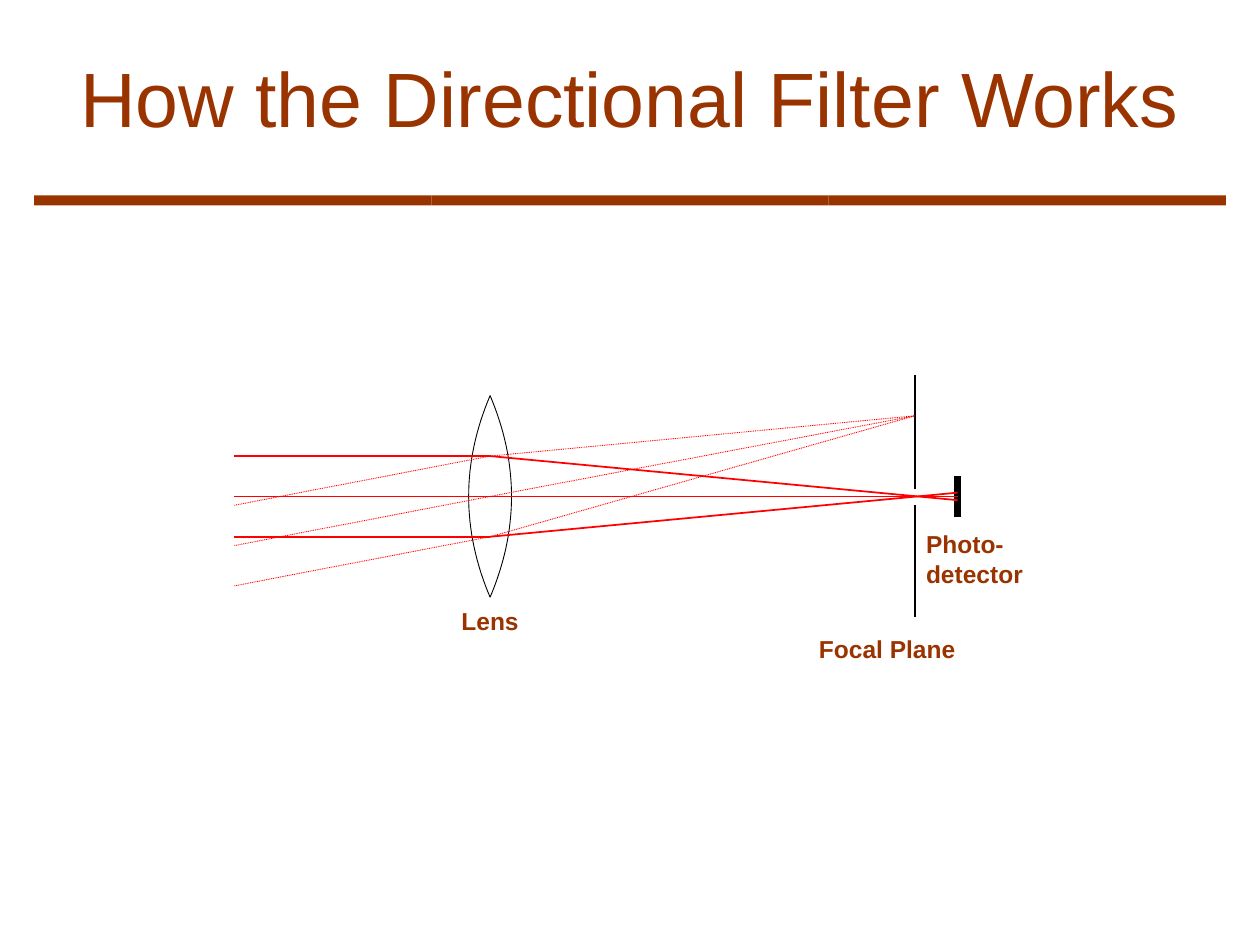
from dataclasses import dataclass

from lxml.etree import SubElement
from pptx import Presentation
from pptx.dml.color import RGBColor
from pptx.enum.dml import MSO_LINE
from pptx.enum.shapes import MSO_CONNECTOR, MSO_SHAPE
from pptx.enum.text import MSO_ANCHOR, PP_ALIGN
from pptx.oxml.ns import qn
from pptx.slide import Slide
from pptx.util import Inches, Pt

COLORS = {"brown": "993300", "ray": "FF0000", "ink": "000000"}
START, LENS, FOCUS, SENSOR = 1.86, 3.89, 7.26, 7.6
AXIS, GAP = 3.94, 0.32
TILT = 0.39


@dataclass
class Line:
    x1: float
    y1: float
    x2: float
    y2: float
    color: str = "ray"
    width: float = 1
    dotted: bool = False


@dataclass
class Label:
    text: str
    left: float
    top: float
    width: float
    height: float
    align: PP_ALIGN = PP_ALIGN.LEFT


LABELS = [
    Label("Lens", 3.51, 4.8, 0.76, 0.27, PP_ALIGN.CENTER),
    Label("Focal Plane", 6.49, 5.02, 1.6, 0.33),
    Label("Photo-\ndetector", 7.34, 4.19, 1.26, 0.57),
]


def rgb(name: str) -> RGBColor:
    return RGBColor.from_string(COLORS[name])


def style(frame, size: int, bold: bool, align: PP_ALIGN) -> None:
    for para in frame.paragraphs:
        para.alignment = align
        for run in para.runs:
            run.font.name = "Arial"
            run.font.size = Pt(size)
            run.font.bold = bold
            run.font.color.rgb = rgb("brown")


def add_title(slide: Slide, text: str) -> None:
    title = slide.shapes.title
    title.left, title.top = Inches(0.5), Inches(0.3)
    title.width, title.height = Inches(9), Inches(0.93)
    frame = title.text_frame
    frame.text = text
    frame.vertical_anchor = MSO_ANCHOR.MIDDLE
    style(frame, 44, False, PP_ALIGN.CENTER)


def add_rule(slide: Slide, parts: int = 3) -> None:
    left, width = 0.27, 9.46 / parts
    for i in range(parts):
        bar = slide.shapes.add_shape(
            MSO_SHAPE.RECTANGLE, Inches(left + i * width), Inches(1.55),
            Inches(width), Inches(0.08))
        bar.shadow.inherit = False
        bar.fill.solid()
        bar.fill.fore_color.rgb = rgb("brown")
        bar.line.fill.background()


def add_line(slide: Slide, line: Line) -> None:
    link = slide.shapes.add_connector(
        MSO_CONNECTOR.STRAIGHT, Inches(line.x1), Inches(line.y1),
        Inches(line.x2), Inches(line.y2))
    link.line.color.rgb = rgb(line.color)
    link.line.width = Pt(line.width)
    if line.dotted:
        link.line.dash_style = MSO_LINE.ROUND_DOT
    SubElement(link._element.spPr, qn("a:effectLst"))


def add_lens(slide: Slide, bulge: float = 0.17, half: float = 0.8, steps: int = 32) -> None:
    for side in (-1, 1):
        pts = []
        for i in range(steps + 1):
            t = 2 * i / steps - 1
            x = LENS + side * bulge * (1 - t * t)
            pts.append((Inches(x), Inches(AXIS + half * t)))
        pen = slide.shapes.build_freeform(*pts[0])
        pen.add_line_segments(pts[1:], close=False)
        arc = pen.convert_to_shape()
        arc.shadow.inherit = False
        arc.fill.background()
        arc.line.color.rgb = rgb("ink")
        arc.line.width = Pt(0.5)


def add_label(slide: Slide, label: Label) -> None:
    box = slide.shapes.add_textbox(
        Inches(label.left), Inches(label.top), Inches(label.width), Inches(label.height))
    frame = box.text_frame
    frame.word_wrap = True
    frame.margin_left = frame.margin_right = Inches(0.01)
    frame.margin_top = frame.margin_bottom = Inches(0.01)
    frame.text = label.text
    style(frame, 14, True, label.align)


def optics() -> list[Line]:
    lines = [
        Line(SENSOR, 3.78, SENSOR, 4.1, "ink", 3.91),
        Line(FOCUS, 2.98, FOCUS, 3.88, "ink"),
        Line(FOCUS, 4.01, FOCUS, 4.9, "ink"),
        Line(START, AXIS, SENSOR, AXIS),
    ]
    for side in (-1, 1):
        y = AXIS + side * GAP
        lines.append(Line(START, y, LENS, y))
        lines.append(Line(LENS, y, SENSOR, AXIS - side * 0.03))
    for step in (1, 0, -1):
        y = AXIS + step * GAP
        lines.append(Line(START, y + TILT, LENS, y, width=0.5, dotted=True))
        lines.append(Line(LENS, y, FOCUS, AXIS - 2 * GAP, width=0.5, dotted=True))
    return lines


def main() -> None:
    """Build the directional filter slide."""
    deck = Presentation()
    deck.slide_width, deck.slide_height = Inches(10), Inches(7.5)
    slide = deck.slides.add_slide(deck.slide_layouts[5])
    add_rule(slide)
    add_title(slide, "How the Directional Filter Works")
    add_lens(slide)
    for line in optics():
        add_line(slide, line)
    for label in LABELS:
        add_label(slide, label)
    deck.save("out.pptx")


if __name__ == "__main__":
    main()
